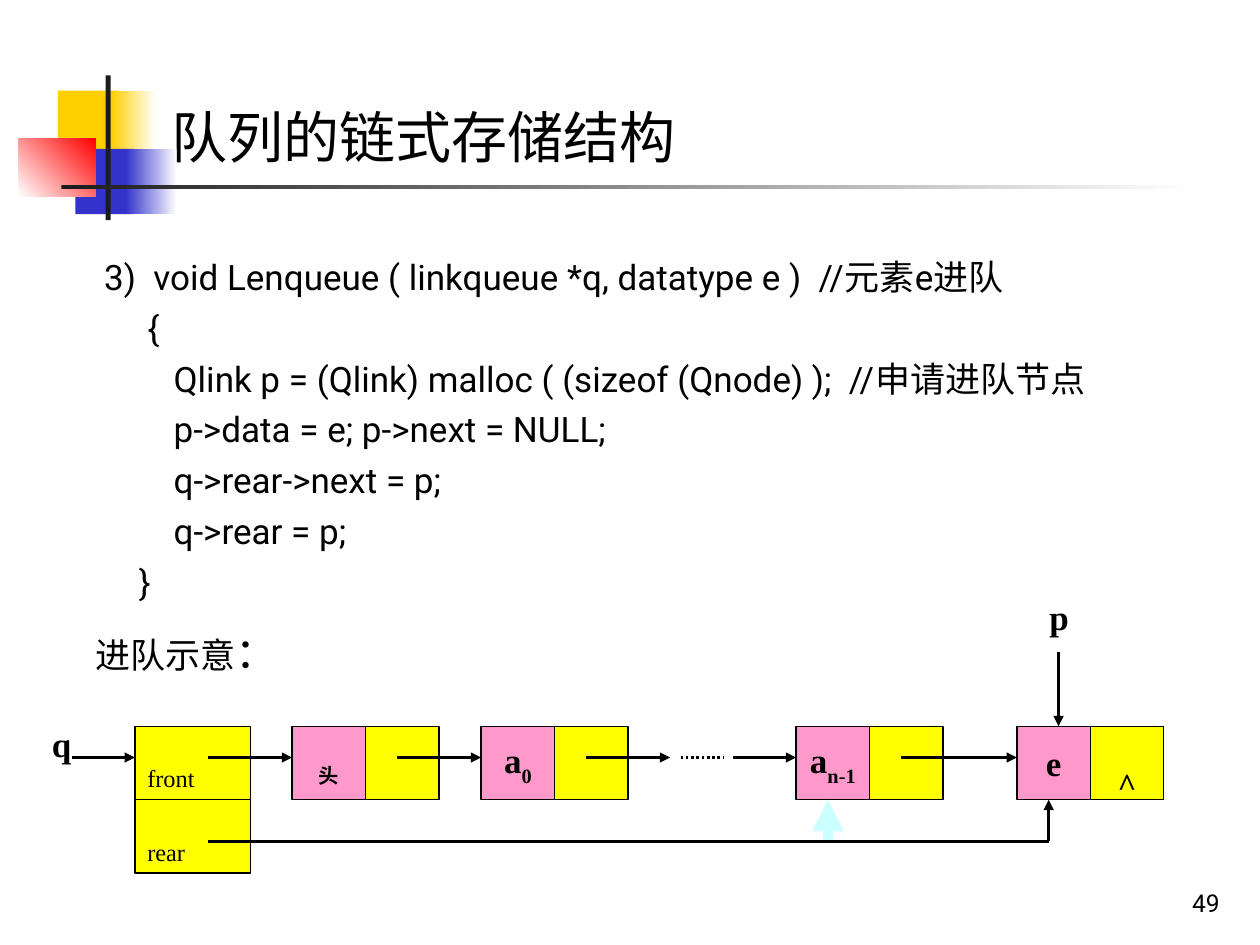
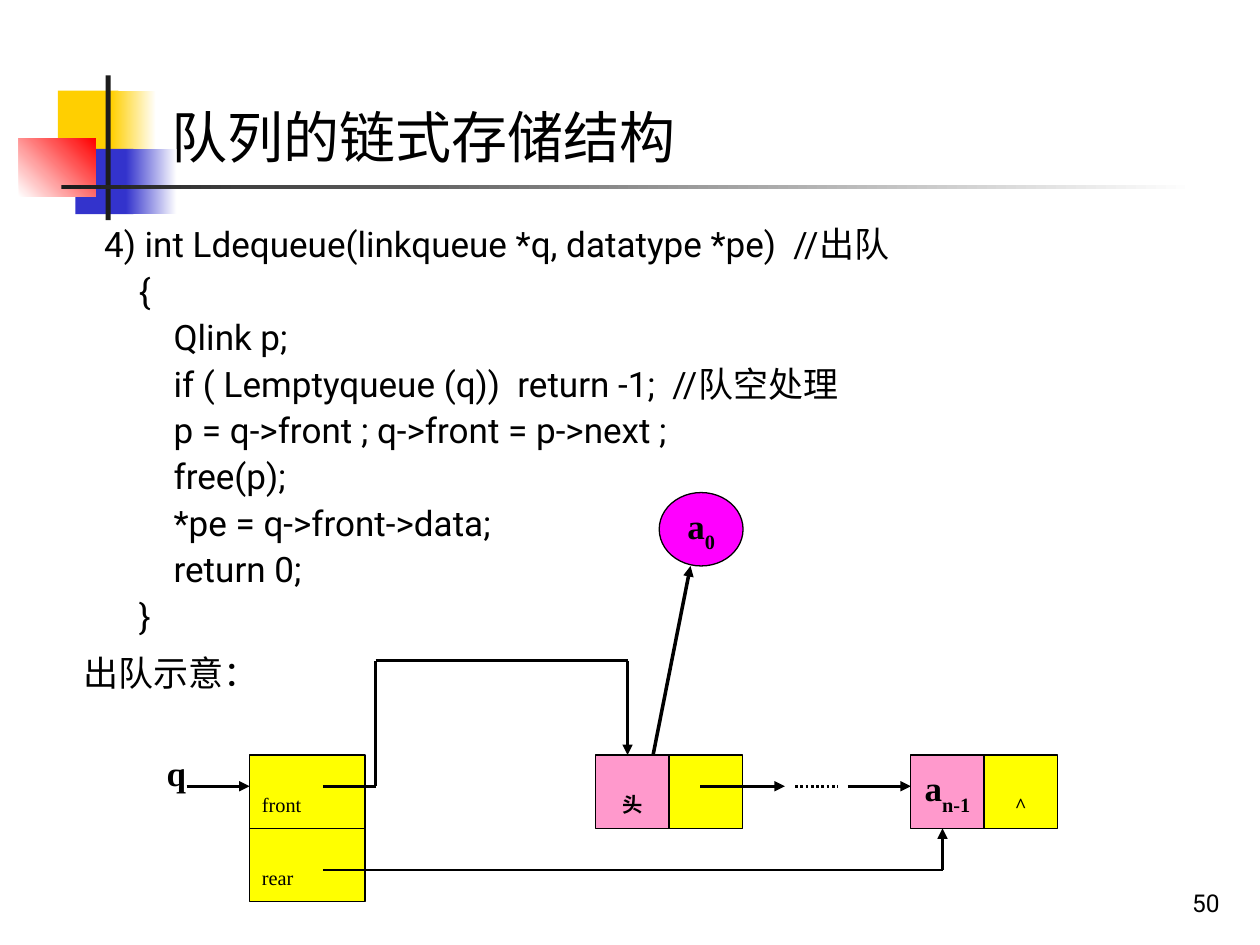
from lxml.etree import SubElement as Sub
from pptx import Presentation
from pptx.dml.color import RGBColor as Rgb
from pptx.enum.dml import MSO_LINE as Dash
from pptx.enum.shapes import MSO_CONNECTOR as Link, MSO_SHAPE as Form
from pptx.enum.text import MSO_ANCHOR as Anchor, MSO_AUTO_SIZE as Fit, PP_ALIGN as Align
from pptx.oxml.ns import qn
from pptx.util import Cm, Pt

HUES = {
    "ink": "000000", "white": "FFFFFF", "gold": "FFCF01", "blue": "3333CC",
    "red": "FF0000", "dark": "1C1C1C", "yellow": "FFFF00", "pink": "FF99CC",
    "magenta": "FF00FF", "pale": "CCFFFF",
}
SANS, SERIF = "Roboto", "Times New Roman"
HAN, HEAD = "Noto Sans CJK SC", "Noto Sans CJK JP"
CELL, WIDE = 1.48, 2.33        # node cell side, width of the queue record
MID, LOW = 0.63, 2.32          # arrow heights below the top of the chain
START = 2.11                   # where a pointer leaves its node


def hue(name):
    return Rgb.from_string(HUES[name])


class Deck:
    def __init__(self):
        self.prs = Presentation()
        self.prs.slide_width, self.prs.slide_height = Cm(25.4), Cm(19.05)
        self.page = None
        self.left = self.top = 0

    def place(self, left, top):
        """Set the corner that later lengths are measured from."""
        self.left, self.top = left, top

    def spot(self, x, y):
        return Cm(self.left + x), Cm(self.top + y)

    def style(self, run, size, face=SANS, han=HAN, bold=False, sub=False):
        font = run.font
        font.size, font.name, font.bold = Pt(size), face, bold
        font.color.rgb = hue("ink")
        props = run._r.get_or_add_rPr()
        Sub(props, qn("a:ea")).set("typeface", han)
        if sub:
            props.set("baseline", "-30000")

    # Shapes
    def shape(self, x, y, w, h, fill, edge=False, form=Form.RECTANGLE):
        item = self.page.shapes.add_shape(form, *self.spot(x, y), Cm(w), Cm(h))
        item.shadow.inherit = False
        item.fill.solid()
        item.fill.fore_color.rgb = hue(fill)
        if edge:
            item.line.color.rgb = hue("ink")
            item.line.width = Pt(0.75)
        else:
            item.line.fill.background()
        return item

    def fade(self, x, y, w, h, first, last, angle=0):
        fill = self.shape(x, y, w, h, first).fill
        fill.gradient()
        fill.gradient_angle = angle
        for stop, name in zip(fill.gradient_stops, (first, last)):
            stop.color.rgb = hue(name)

    def cell(self, x, y, fill, main="", sub="", w=CELL, size=20, bold=True,
             align=Align.CENTER, form=Form.RECTANGLE):
        frame = self.shape(x, y, w, CELL, fill, True, form).text_frame
        frame.word_wrap = False
        frame.vertical_anchor = Anchor.MIDDLE
        para = frame.paragraphs[0]
        para.alignment = align
        for text, low in ((main, False), (sub, True)):
            if text:
                run = para.add_run()
                run.text = text
                self.style(run, size, SERIF, bold=bold, sub=low)

    def node(self, x, main="", sub="", mark="", size=20):
        self.cell(x, 0, "pink", main, sub)
        self.cell(x + CELL, 0, "yellow", sub=mark, size=size)

    # Lines
    def line(self, x1, y1, x2, y2, head=True, color="ink", width=1.5, dash=None):
        item = self.page.shapes.add_connector(
            Link.STRAIGHT, *self.spot(x1, y1), *self.spot(x2, y2))
        item.line.color.rgb = hue(color)
        item.line.width = Pt(width)
        if dash:
            item.line.dash_style = dash
        if head:
            Sub(item.line._get_or_add_ln(), qn("a:tailEnd")).set("type", "triangle")
        Sub(item._element.spPr, qn("a:effectLst"))

    def route(self, *dots, head=True):
        """Join the dots; only the last leg gets an arrowhead."""
        legs = list(zip(dots, dots[1:]))
        for i, (a, b) in enumerate(legs, 1):
            self.line(*a, *b, head=head and i == len(legs))

    # Text
    def text(self, x, y, w, h, lines, size=20, face=SANS, bold=False,
             align=Align.LEFT, anchor=Anchor.TOP, gap=0):
        box = self.page.shapes.add_textbox(*self.spot(x, y), Cm(w), Cm(h))
        frame = box.text_frame
        frame.word_wrap = True
        frame.vertical_anchor = anchor
        frame.text = "\n".join(lines)
        for i, para in enumerate(frame.paragraphs):
            para.alignment = align
            para.space_before = Pt(gap if i else 0)
            for run in para.runs:
                self.style(run, size, face, bold=bold)
        return frame.paragraphs[0]

    def label(self, x, y, w, text):
        self.text(x, y, w, 1.12, [text], face=SERIF, bold=True, align=Align.CENTER)

    # Parts on every slide
    def start(self, title, number):
        self.page = self.prs.slides.add_slide(self.prs.slide_layouts[5])
        self.place(0, 0)
        self.shape(1.17, 1.83, 1.22, 1.32, "gold")
        self.fade(2.24, 1.83, 0.91, 1.32, "gold", "white")
        self.shape(1.52, 3, 1.17, 1.32, "blue")
        self.fade(2.54, 3, 1.02, 1.32, "blue", "white")
        self.fade(0.38, 2.79, 1.55, 1.17, "white", "red", 45)
        self.shape(2.13, 1.52, 0.1, 2.92, "dark")
        self.fade(1.24, 3.73, 22.86, 0.08, "dark", "white")
        head = self.page.shapes.title
        head.left, head.top, head.width, head.height = Cm(3.2), Cm(1.93), Cm(22.2), Cm(1.63)
        frame = head.text_frame
        frame.text = title
        frame.auto_size = Fit.NONE
        frame.vertical_anchor = Anchor.TOP
        para = frame.paragraphs[0]
        para.alignment = Align.LEFT
        self.style(para.runs[0], 32, HEAD, HEAD)
        self.text(19.56, 17.35, 5.28, 1.27, [str(number)], 14,
                  align=Align.RIGHT, anchor=Anchor.BOTTOM)

    def chain(self, size, mark=""):
        """Queue record, last node and the links both diagrams have."""
        for i, name in enumerate(("front", "rear")):
            self.cell(0, i * CELL, "yellow", sub=name, w=WIDE, size=size,
                      bold=False, align=Align.LEFT)
        self.label(-2.11, -0.2, 1.27, "q")
        self.line(-1.27, MID, 0, MID)
        self.node(13.33, "a", "n-1", mark)
        self.line(11, MID, 11.85, MID, head=False, dash=Dash.ROUND_DOT)
        self.line(12.06, MID, 13.33, MID)

    def link(self, x, end):
        self.line(x + START, MID, end, MID)


def push(deck):
    deck.start("队列的链式存储结构", 49)
    deck.text(1.85, 5.03, 23.55, 7.49, [
        "3)  void Lenqueue ( linkqueue *q, datatype e )  //元素e进队",
        "     {",
        "        Qlink p = (Qlink) malloc ( (sizeof (Qnode) );  //申请进队节点",
        "        p->data = e; p->next = NULL;",
        "        q->rear->next = p;",
        "        q->rear = p;",
        "    }",
    ], gap=5)
    para = deck.text(1.68, 12.5, 18.8, 1.27, ["进队示意"], face=HAN)
    colon = para.add_run()
    colon.text = "："
    deck.style(colon, 24, HAN)

    # Chain with the new node at its end
    deck.place(2.72, 14.64)
    deck.chain(24)
    deck.node(3.17, sub="头")
    deck.node(6.98, "a", "0")
    deck.node(17.78, "e", mark="^", size=32)
    deck.line(1.48, MID, 3.17, MID)
    for x, end in ((3.17, 6.98), (6.98, 10.79), (13.33, 17.78)):
        deck.link(x, end)
    deck.label(17.78, -2.75, 1.7, "p")
    deck.line(18.62, -1.49, 18.62, 0)
    deck.line(13.97, LOW, 13.97, CELL, color="pale", width=6)
    deck.route((1.48, LOW), (18.42, LOW), (18.42, CELL))


def pull(deck):
    deck.start("队列的链式存储结构", 50)
    deck.text(1.85, 4.37, 19.76, 8.71, [
        "4) int Ldequeue(linkqueue *q, datatype *pe)  //出队",
        "    {",
        "        Qlink p;",
        "        if ( Lemptyqueue (q))  return -1;  //队空处理",
        "        p = q->front ; q->front = p->next ;",
        "        free(p);",
        "        *pe = q->front->data;",
        "        return 0;",
        "    }",
    ], gap=2.5)
    deck.text(1.44, 13, 18.8, 1.12, ["出队示意："], face=HAN)

    # Chain whose first item has left
    deck.place(5.03, 15.22)
    deck.chain(20, "^")
    deck.cell(8.26, -5.29, "magenta", "a", "0", w=1.69, form=Form.OVAL)
    deck.line(8.05, 0.43, 8.89, -3.81, width=2)
    deck.node(6.98, sub="头")
    deck.link(6.98, 10.79)
    deck.route((1.48, MID), (2.54, MID), (2.54, -1.9), (7.62, -1.9), (7.62, 0))
    deck.route((1.48, LOW), (13.97, LOW), (13.97, CELL))


def main():
    deck = Deck()
    push(deck)
    pull(deck)
    deck.prs.save("out.pptx")


if __name__ == "__main__":
    main()
